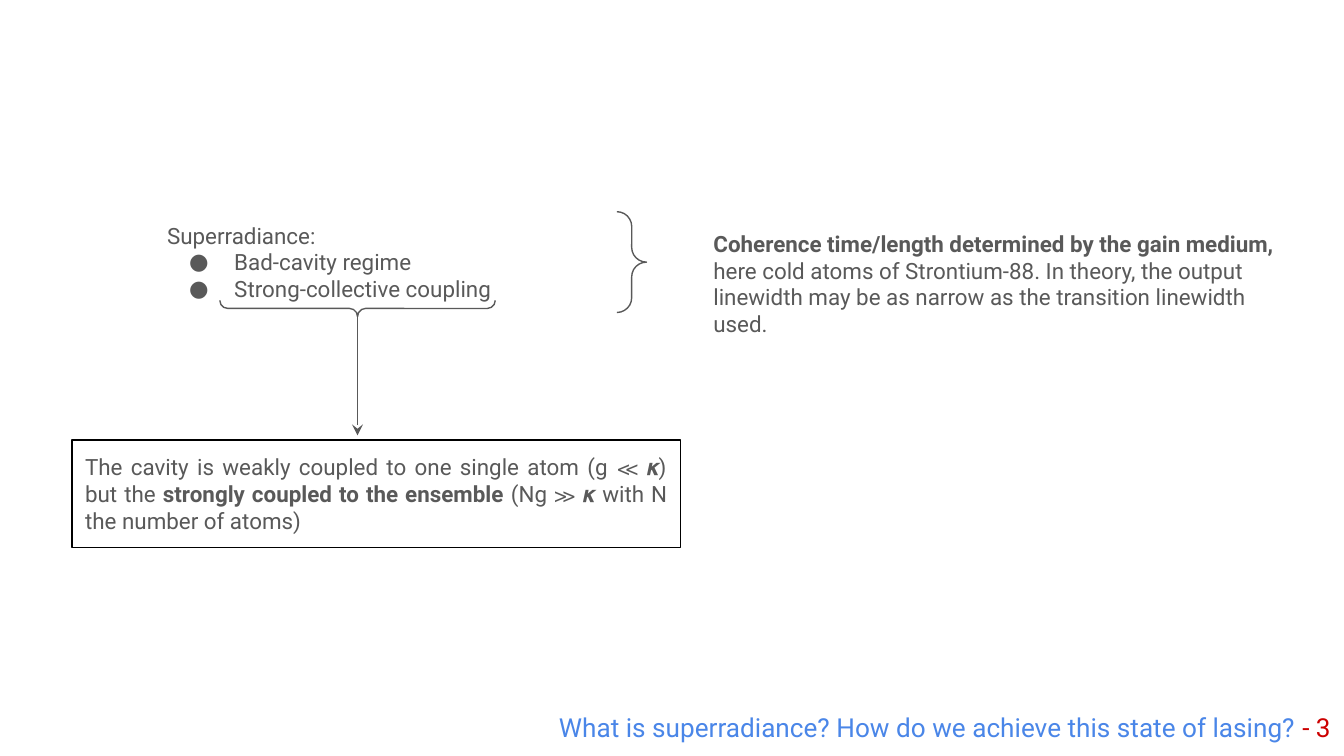
from lxml.etree import SubElement
from pptx import Presentation
from pptx.dml.color import RGBColor
from pptx.enum.shapes import MSO_CONNECTOR as Connector, MSO_SHAPE as Shape
from pptx.enum.text import MSO_ANCHOR as Anchor, PP_ALIGN as Align
from pptx.oxml.ns import qn
from pptx.util import Pt

PX = 4572  # 200 px to the inch
FONT = "Roboto"
COLORS = {
    "body": "595959",
    "frame": "000000",
    "footer": "4A86E8",
    "number": "CC0000",
}


def color(name):
    return RGBColor.from_string(COLORS[name])


def emu(*lengths):
    return [length * PX for length in lengths]


def draw_outline(line, name):
    line.color.rgb = color(name)
    line.width = Pt(0.75)


def prepare_frame(frame):
    frame.word_wrap = True
    frame.vertical_anchor = Anchor.TOP
    frame.margin_left = frame.margin_right = 20 * PX
    frame.margin_top = frame.margin_bottom = 20 * PX
    return frame


def add_text_frame(slide, box):
    return prepare_frame(slide.shapes.add_textbox(*emu(*box)).text_frame)


def style_paragraph(paragraph, size=12, name="body", align=Align.LEFT):
    paragraph.alignment = align
    paragraph.font.name = FONT
    paragraph.font.size = Pt(size)
    paragraph.font.color.rgb = color(name)


def add_run(paragraph, text, bold=False):
    run = paragraph.add_run()
    run.text = text
    if bold:
        run.font.bold = True
    return run


def add_bullet(paragraph):
    properties = paragraph._p.get_or_add_pPr()
    properties.set("marL", str(100 * PX))
    properties.set("indent", str(-67 * PX))
    bullet_color = SubElement(properties, qn("a:buClr"))
    SubElement(bullet_color, qn("a:srgbClr"), val=COLORS["body"])
    SubElement(properties, qn("a:buSzPts"), val="1200")
    SubElement(properties, qn("a:buFont"), typeface=FONT)
    SubElement(properties, qn("a:buChar"), char="●")


def add_brace(slide, box, rotation=0):
    brace = slide.shapes.add_shape(Shape.RIGHT_BRACE, *emu(*box))
    brace.adjustments[0] = brace.adjustments[1] = 0.5
    brace.rotation = rotation
    brace.shadow.inherit = False
    brace.fill.background()
    draw_outline(brace.line, "body")


def add_arrow(slide, x, top, bottom):
    arrow = slide.shapes.add_connector(Connector.STRAIGHT, *emu(x, top, x, bottom))
    draw_outline(arrow.line, "body")
    SubElement(arrow.line._get_or_add_ln(), qn("a:tailEnd"), type="stealth")
    SubElement(arrow._element.spPr, qn("a:effectLst"))


def add_conditions(slide, box):
    """List the superradiance conditions, with a brace to their right."""
    left, top, width, height = box
    frame = add_text_frame(slide, box)
    heading = frame.paragraphs[0]
    add_run(heading, "Superradiance:")
    style_paragraph(heading)
    for condition in ("Bad-cavity regime", "Strong-collective coupling"):
        item = frame.add_paragraph()
        add_bullet(item)
        add_run(item, condition)
        style_paragraph(item)
    add_brace(slide, (left + 689, top + 5, 44, height - 10))


def add_coherence(slide, box):
    statement = add_text_frame(slide, box).paragraphs[0]
    add_run(statement, "Coherence time/length determined by the gain medium,", bold=True)
    add_run(statement, " here cold atoms of Strontium-88. In theory, the output "
                       "linewidth may be as narrow as the transition linewidth used.")
    style_paragraph(statement)


def add_coupling(slide, box):
    """Frame the coupling explanation, reached by a brace and an arrow above it."""
    left, top, width, height = box
    arrow_x = left + 425
    add_brace(slide, (arrow_x - 12, top - 401, 24, 410), rotation=90)
    add_arrow(slide, arrow_x, top - 185, top - 7)
    panel = slide.shapes.add_shape(Shape.RECTANGLE, *emu(*box))
    panel.shadow.inherit = False
    panel.fill.background()
    draw_outline(panel.line, "frame")
    explanation = prepare_frame(panel.text_frame).paragraphs[0]
    add_run(explanation, "The cavity is weakly coupled to one single atom (g ≪ 𝜿) but the ")
    add_run(explanation, "strongly coupled to the ensemble", bold=True)
    add_run(explanation, " (Ng ≫ 𝜿 with N the number of atoms)")
    style_paragraph(explanation, align=Align.JUSTIFY)


def add_footer(slide, box):
    footer = add_text_frame(slide, box).paragraphs[0]
    add_run(footer, "What is superradiance? How do we achieve this state of lasing? ")
    number = add_run(footer, "- 3")
    number.font.color.rgb = color("number")
    style_paragraph(footer, size=14, name="footer", align=Align.RIGHT)


def main():
    deck = Presentation()
    deck.slide_width, deck.slide_height = emu(2000, 1125)
    slide = deck.slides.add_slide(deck.slide_layouts[6])
    add_footer(slide, (380, 1039, 1620, 86))
    add_conditions(slide, (229, 310, 906, 160))
    add_coherence(slide, (1042, 322, 906, 200))
    add_coupling(slide, (107, 655, 906, 160))
    deck.save("out.pptx")


if __name__ == "__main__":
    main()
